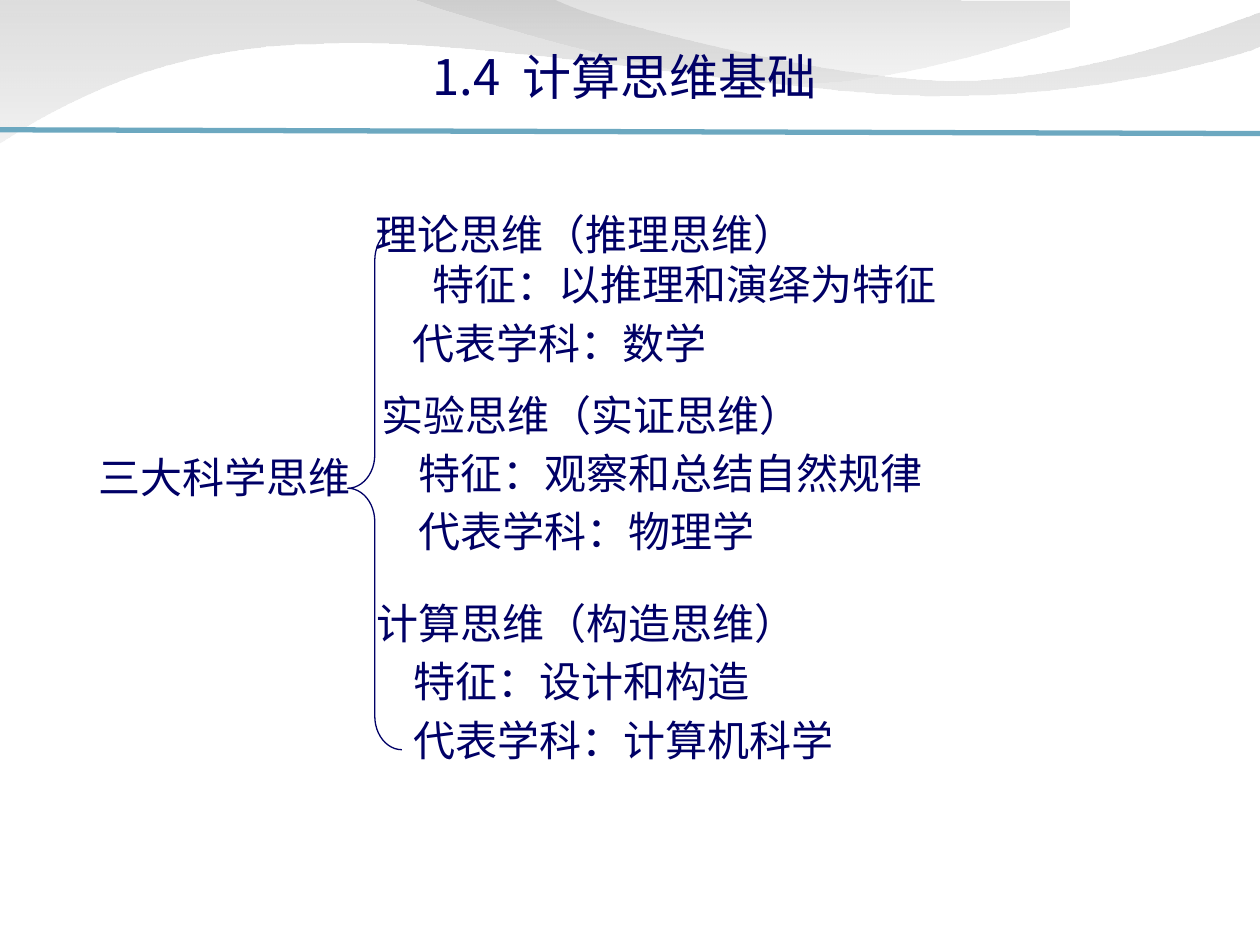
from dataclasses import dataclass

from lxml.etree import SubElement
from pptx import Presentation
from pptx.dml.color import RGBColor
from pptx.enum.shapes import MSO_CONNECTOR, MSO_SHAPE
from pptx.enum.text import MSO_ANCHOR, MSO_AUTO_SIZE, PP_ALIGN
from pptx.oxml import parse_xml
from pptx.oxml.ns import nsdecls, qn
from pptx.shapes.autoshape import Shape
from pptx.slide import Slide
from pptx.text.text import _Paragraph
from pptx.util import Emu, Inches, Pt

COLUMNS, ROWS = 100, 75
CELL = Inches(0.1)
FONT = "Noto Sans CJK SC"
COLORS = {
    "text": "000066",
    "rule": "6CA8C0",
    "wide_top": "B6B6B6",
    "wide_bottom": "E7E7E7",
    "crest_top": "BCBCBC",
    "crest_bottom": "DADADA",
}
DETAIL_INDENT = 2.95
Point = tuple[float, float]


@dataclass
class Line:
    """A hanging indent moves only the lines after a line break."""
    text: str
    indent: float = 0
    hanging: float = 0


@dataclass
class TextBlock:
    column: float
    row: float
    columns: float
    rows: float
    lines: list[Line]
    size: float = 24
    centred: bool = False


@dataclass
class Wave:
    """Each segment holds one point (straight) or three (cubic curve)."""
    start: Point
    segments: list[tuple[Point, ...]]
    stops: list[tuple[str, int]]


WAVES = [
    Wave(
        (0, 0),
        [
            ((44, 0),),
            ((47.5, 1.8), (66.3, 6.4), (75.8, 6.4)),
            ((85.2, 6.4), (95.7, 2.6), (99.9, 1)),
            ((100, 3.7),),
            ((98.2, 4.5), (86.9, 7.7), (74.5, 7.6)),
            ((62.1, 7.6), (38.2, 2.9), (25.7, 3.5)),
            ((12.9, 3.6), (4.6, 8.4), (-0.1, 11.4)),
            ((0, 0),),
        ],
        [("wide_top", 45), ("wide_bottom", 55)],
    ),
    Wave(
        (32.9, 0),
        [
            ((35.9, 1.2), (53.1, 6.3), (61.8, 6.6)),
            ((70.4, 7), (81, 3.3), (84.9, 2.2)),
            ((84.9, 0.1),),
            ((32.9, 0),),
        ],
        [("crest_top", 45), ("crest_bottom", 30)],
    ),
]

TITLE = TextBlock(0, 2.4, 99.1, 7.2, [Line("1.4  计算思维基础")], 28, True)
TEXT_BLOCKS = [
    TextBlock(7.1, 35.45, 25.6, 4.7, [Line("三大科学思维")]),
    TextBlock(29.1, 16.15, 57.9, 13.3, [
        Line("理论思维（推理思维）\v特征：以推理和演绎为特征", hanging=4.5),
        Line("代表学科：数学", DETAIL_INDENT),
    ]),
    TextBlock(29.55, 30.5, 55.9, 14, [
        Line("实验思维（实证思维）"),
        Line("特征：观察和总结自然规律", DETAIL_INDENT),
        Line("代表学科：物理学", DETAIL_INDENT),
    ]),
    TextBlock(29.2, 47.02, 59.4, 14, [
        Line("计算思维（构造思维）"),
        Line("特征：设计和构造", DETAIL_INDENT),
        Line("代表学科：计算机科学", DETAIL_INDENT),
    ]),
]


def cells(count: float) -> Emu:
    return Emu(round(count * CELL))


def color(name: str) -> RGBColor:
    return RGBColor.from_string(COLORS[name])


def bend_curves(shape: Shape, segments: list[tuple[Point, ...]]) -> None:
    """Merge the straight steps of every three-point segment into one cubic curve."""
    steps = iter(list(shape._element.iter(qn("a:lnTo"))))
    for segment in segments:
        group = [next(steps) for _ in segment]
        if len(group) == 3:
            curve = parse_xml(f'<a:cubicBezTo {nsdecls("a")}/>')
            group[0].addprevious(curve)
            for step in group:
                curve.append(step[0])
                step.getparent().remove(step)


def draw_wave(slide: Slide, wave: Wave) -> None:
    builder = slide.shapes.build_freeform(*map(cells, wave.start))
    for segment in wave.segments:
        builder.add_line_segments([(cells(x), cells(y)) for x, y in segment], close=False)
    shape = builder.convert_to_shape()
    bend_curves(shape, wave.segments)
    shape.shadow.inherit = False
    shape.line.fill.background()
    stops = "".join(
        f'<a:gs pos="{index * 100000}"><a:srgbClr val="{COLORS[name]}">'
        f'<a:alpha val="{opacity * 1000}"/></a:srgbClr></a:gs>'
        for index, (name, opacity) in enumerate(wave.stops)
    )
    gradient = parse_xml(
        f'<a:gradFill {nsdecls("a")} rotWithShape="1"><a:gsLst>{stops}</a:gsLst>'
        '<a:lin ang="5400000" scaled="0"/></a:gradFill>'
    )
    shape._element.spPr.find(qn("a:custGeom")).addnext(gradient)


def draw_rule(slide: Slide) -> None:
    rule = slide.shapes.add_connector(
        MSO_CONNECTOR.STRAIGHT, cells(-0.1), cells(10.3), cells(COLUMNS), cells(10.6)
    )
    rule.line.color.rgb = color("rule")
    rule.line.width = Pt(3)
    SubElement(rule._element.spPr, qn("a:effectLst"))


def draw_brace(slide: Slide) -> None:
    brace = slide.shapes.add_shape(
        MSO_SHAPE.LEFT_BRACE, cells(27.6), cells(18), cells(4.3), cells(41.5)
    )
    brace.adjustments[0] = 0.62
    brace.shadow.inherit = False
    brace.fill.background()
    brace.line.color.rgb = color("text")
    brace.line.width = Pt(0.75)


def format_line(paragraph: _Paragraph, line: Line, block: TextBlock) -> None:
    paragraph.text = line.text
    paragraph.alignment = PP_ALIGN.CENTER if block.centred else PP_ALIGN.LEFT
    properties = paragraph._p.get_or_add_pPr()
    properties.set("marL", str(cells(line.indent + line.hanging)))
    properties.set("indent", str(cells(-line.hanging)))
    for run in paragraph.runs:
        run.font.size = Pt(block.size)
        run.font.color.rgb = color("text")
        run.font.name = FONT
        SubElement(run._r.get_or_add_rPr(), qn("a:ea")).set("typeface", FONT)


def draw_text(slide: Slide, block: TextBlock) -> None:
    box = slide.shapes.add_textbox(
        cells(block.column), cells(block.row), cells(block.columns), cells(block.rows)
    )
    frame = box.text_frame
    frame.word_wrap = True
    frame.auto_size = (
        MSO_AUTO_SIZE.NONE if block.centred else MSO_AUTO_SIZE.SHAPE_TO_FIT_TEXT
    )
    frame.margin_left = frame.margin_right = cells(0.7)
    frame.margin_top = frame.margin_bottom = cells(0.4)
    frame.vertical_anchor = MSO_ANCHOR.MIDDLE if block.centred else MSO_ANCHOR.TOP
    for index, line in enumerate(block.lines):
        paragraph = frame.add_paragraph() if index else frame.paragraphs[0]
        if index:
            paragraph.space_before = Pt(4.5)
        format_line(paragraph, line, block)


def main() -> None:
    presentation = Presentation()
    presentation.slide_width = cells(COLUMNS)
    presentation.slide_height = cells(ROWS)
    slide = presentation.slides.add_slide(presentation.slide_layouts[6])
    for wave in WAVES:
        draw_wave(slide, wave)
    draw_rule(slide)
    draw_brace(slide)
    for block in [*TEXT_BLOCKS, TITLE]:
        draw_text(slide, block)
    presentation.save("out.pptx")


if __name__ == "__main__":
    main()
